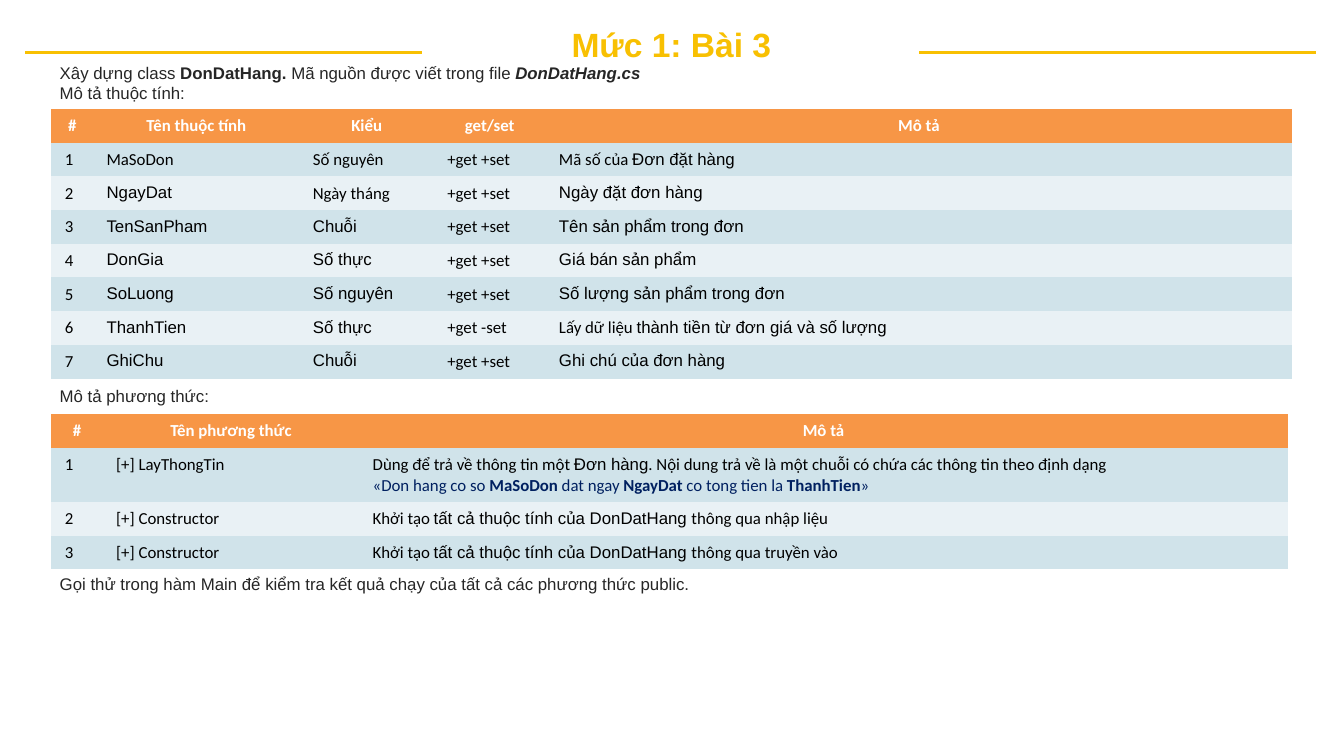
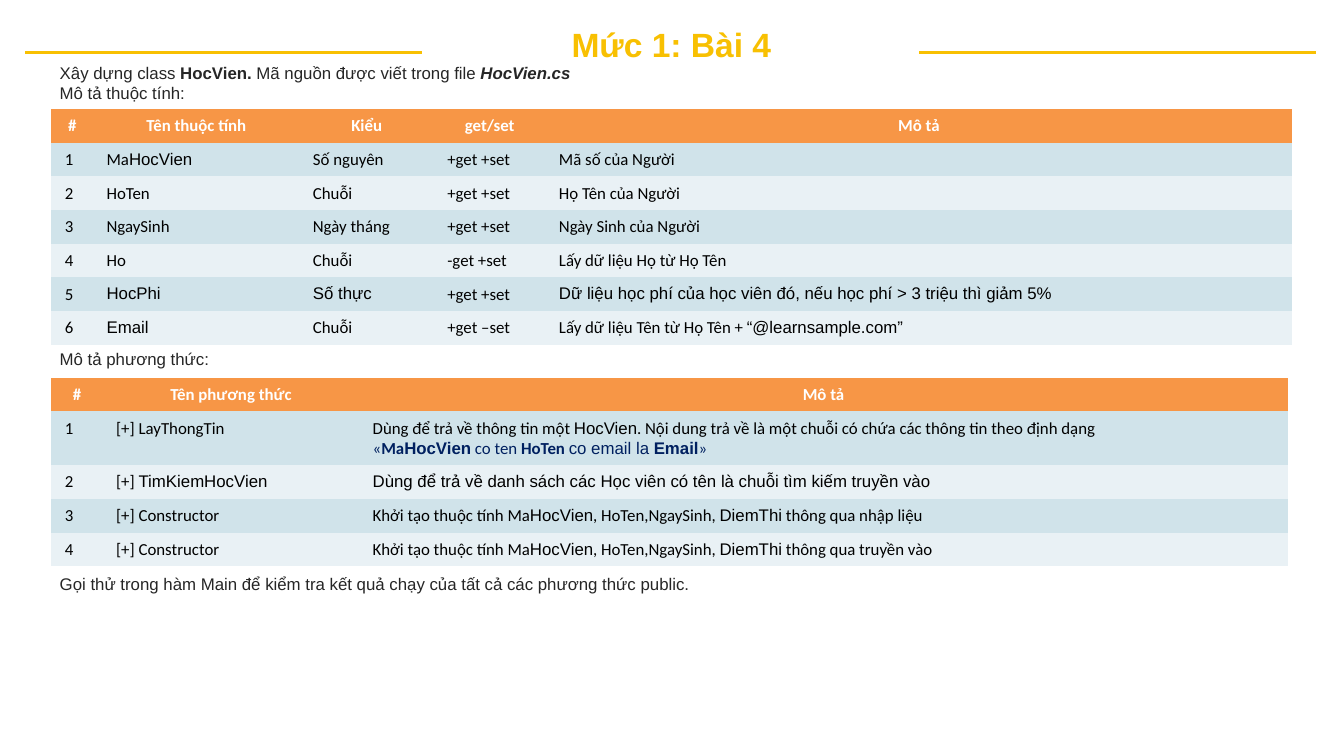
"""Build two exercise slides that describe a class by its properties and methods."""
from lxml.etree import SubElement
from pptx import Presentation
from pptx.dml.color import RGBColor
from pptx.enum.shapes import MSO_CONNECTOR
from pptx.enum.text import MSO_ANCHOR, MSO_AUTO_SIZE, PP_ALIGN
from pptx.oxml.ns import qn
from pptx.util import Cm, Pt

GOLD = RGBColor(0xF8, 0xC0, 0x02)
ORANGE = RGBColor(0xF7, 0x96, 0x46)
BANDS = [RGBColor(0xE9, 0xF1, 0xF5), RGBColor(0xD0, 0xE3, 0xEA)]
WHITE = RGBColor(0xFF, 0xFF, 0xFF)
BLACK = RGBColor(0, 0, 0)
GREY = RGBColor(0x26, 0x26, 0x26)
NAVY = RGBColor(0, 0x20, 0x60)
NO_STYLE = "{2D5ABB26-0587-4C30-8999-92F81FD0307C}"
INSETS = {"margin_left": Cm(0.18), "margin_right": Cm(0.18),
          "margin_top": Cm(0.1), "margin_bottom": Cm(0.1), "word_wrap": True}
ROW = 0.635

PROPERTY_HEAD = ["#", "Tên thuộc tính", "Kiểu", "get/set", "Mô tả"]
PROPERTY_COLS = [0.79, 3.9, 2.54, 2.11, 14.11]
METHOD_HEAD = ["#", "Tên phương thức", "Mô tả"]
METHOD_COLS = [0.97, 4.85, 17.55]
FORMAT_NOTE = ". Nội dung trả về là một chuỗi có chứa các thông tin theo định dạng"
ORDER_INIT = "Khởi tạo |tất cả thuộc tính của DonDatHang |thông qua "
STUDENT_INIT = "Khởi tạo thuộc tính Ma|HocVien|, HoTen,NgaySinh, |DiemThi| thông qua "

EXERCISES = [
    {
        "title": "Mức 1: Bài 3",
        "class": "DonDatHang",
        "methods_top": 7.19,
        "properties": [
            ["MaSoDon", "Số nguyên", "+get +set", "Mã số của |Đơn đặt hàng|"],
            ["|NgayDat|", "Ngày tháng", "+get +set", "|Ngày đặt đơn hàng|"],
            ["|TenSanPham|", "|Chuỗi|", "+get +set", "|Tên sản phẩm trong đơn|"],
            ["|DonGia|", "|Số thực|", "+get +set", "|Giá bán sản phẩm|"],
            ["|SoLuong|", "|Số nguyên|", "+get +set", "|Số lượng sản phẩm trong đơn|"],
            ["|ThanhTien|", "|Số thực|", "+get -set",
             "Lấy dữ liệu |thành tiền từ đơn giá và số lượng|"],
            ["|GhiChu|", "|Chuỗi|", "+get +set", "|Ghi chú của đơn hàng|"],
        ],
        "methods": [
            ["[+] LayThongTin", "Dùng để trả về thông tin một |Đơn hàng|" + FORMAT_NOTE
             + "\n«Don hang co so *MaSoDon *dat ngay *NgayDat *co tong tien la *ThanhTien*»"],
            ["[+] Constructor", ORDER_INIT + "nhập liệu"],
            ["[+] Constructor", ORDER_INIT + "truyền vào"],
        ],
    },
    {
        "title": "Mức 1: Bài 4",
        "class": "HocVien",
        "methods_top": 6.5,
        "properties": [
            ["Ma|HocVien|", "Số nguyên", "+get +set", "Mã số của Người"],
            ["HoTen", "Chuỗi", "+get +set", "Họ Tên của Người"],
            ["NgaySinh", "Ngày tháng", "+get +set", "Ngày Sinh của Người"],
            ["Ho", "Chuỗi", "-get +set", "Lấy dữ liệu Họ từ Họ Tên"],
            ["|HocPhi|", "|Số thực|", "+get +set",
             "|Dữ liệu học phí của học viên đó, nếu học phí > 3 triệu thì giảm 5%|"],
            ["|Email|", "Chuỗi", "+get –set",
             "Lấy dữ liệu Tên từ Họ Tên + |“@learnsample.com”|"],
        ],
        "methods": [
            ["[+] LayThongTin", "Dùng để trả về thông tin một |HocVien|" + FORMAT_NOTE
             + "\n«*Ma|HocVien|* co ten *HoTen *|co email la *Email*|»"],
            ["[+] |TimKiemHocVien|",
             "|Dùng để trả về danh sách các Học viên có tên là chuỗi tìm kiếm truyền vào|"],
            ["[+] Constructor", STUDENT_INIT + "nhập liệu"],
            ["[+] Constructor", STUDENT_INIT + "truyền vào"],
        ],
    },
]


def write(p, text, color, font="Calibri", size=9, bold=False):
    """Add runs to a paragraph; | switches to Arial, * to bold, ~ to italic and back."""
    fmt = {"name": font, "size": Pt(size), "bold": bold, "italic": False}
    for mark in "|*~":
        text = text.replace(mark, f"\n{mark}\n")
    for part in filter(None, text.split("\n")):
        if part == "|":
            fmt["name"] = "Arial" if fmt["name"] == "Calibri" else "Calibri"
        elif part == "*":
            fmt["bold"] = not fmt["bold"]
        elif part == "~":
            fmt["italic"] = not fmt["italic"]
        else:
            r = p.add_run()
            r.text = part
            r.font.color.rgb = color
            for name, value in fmt.items():
                setattr(r.font, name, value)


def add_grid(s, top, head, cols, rows, row_height, height):
    """Add a banded table with numbered rows under an orange heading row."""
    frame = s.shapes.add_table(len(rows) + 1, len(cols), Cm(0.97), Cm(top),
                               Cm(sum(cols)), Cm(height))
    frame.element.find(".//" + qn("a:tableStyleId")).text = NO_STYLE
    table = frame.table
    for column, width in zip(table.columns, cols):
        column.width = Cm(width)
    for i, values in enumerate([head] + [[str(n), *row] for n, row in enumerate(rows, 1)]):
        table.rows[i].height = Cm(row_height)
        for j, value in enumerate(values):
            cell = table.cell(i, j)
            cell.fill.solid()
            cell.fill.fore_color.rgb = BANDS[i % 2] if i else ORANGE
            for k, line in enumerate(value.split("\n")):
                p = cell.text_frame.add_paragraph() if k else cell.text_frame.paragraphs[0]
                if i == 0:
                    p.alignment = PP_ALIGN.CENTER
                write(p, line, NAVY if k else BLACK if i else WHITE, bold=i == 0)
    frame.height = Cm(height)


prs = Presentation()
prs.slide_width, prs.slide_height = Cm(25.4), Cm(14.29)

for exercise in EXERCISES:
    s = prs.slides.add_slide(prs.slide_layouts[5])

    for left in (0.48, 17.37):
        rule = s.shapes.add_connector(MSO_CONNECTOR.STRAIGHT, Cm(left), Cm(0.99),
                                      Cm(left + 7.5), Cm(0.99))
        rule.line.color.rgb = GOLD
        rule.line.width = Pt(1.5)
        SubElement(rule.element.spPr, qn("a:effectLst"))

    title = s.shapes.title
    title.left, title.top, title.width, title.height = Cm(7.8), Cm(0.41), Cm(9.78), Cm(0.84)
    tf = title.text_frame
    for name, value in INSETS.items():
        setattr(tf, name, value)
    tf.auto_size = MSO_AUTO_SIZE.NONE
    tf.vertical_anchor = MSO_ANCHOR.MIDDLE
    tf.paragraphs[0].alignment = PP_ALIGN.CENTER
    write(tf.paragraphs[0], exercise["title"], GOLD, "Arial", 18, True)

    name_of_class, methods_top = exercise["class"], exercise["methods_top"]
    intro = f"Xây dựng class *{name_of_class}.* Mã nguồn được viết trong file *~{name_of_class}.cs~*"
    notes = [
        (1.09, 0.97, [intro, "Mô tả thuộc tính:"]),
        (methods_top, 0.58, ["Mô tả phương thức:"]),
        (10.74, 0.58, ["Gọi thử trong hàm Main để kiểm tra kết quả chạy của tất cả các "
                       "phương thức public."]),
    ]
    for top, height, lines in notes:
        sp = s.shapes.add_textbox(Cm(0.95), Cm(top), Cm(22.43), Cm(height))
        tf = sp.text_frame
        for name, value in INSETS.items():
            setattr(tf, name, value)
        tf.auto_size = MSO_AUTO_SIZE.SHAPE_TO_FIT_TEXT
        for k, line in enumerate(lines):
            p = tf.add_paragraph() if k else tf.paragraphs[0]
            write(p, line, GREY, "Arial")

    properties, methods = exercise["properties"], exercise["methods"]
    add_grid(s, 2.06, PROPERTY_HEAD, PROPERTY_COLS, properties, 0.56,
             ROW * (len(properties) + 1))
    add_grid(s, methods_top + 0.64, METHOD_HEAD, METHOD_COLS, methods, 0.53,
             ROW * (len(methods) + 1) + 0.38)

prs.save("out.pptx")
